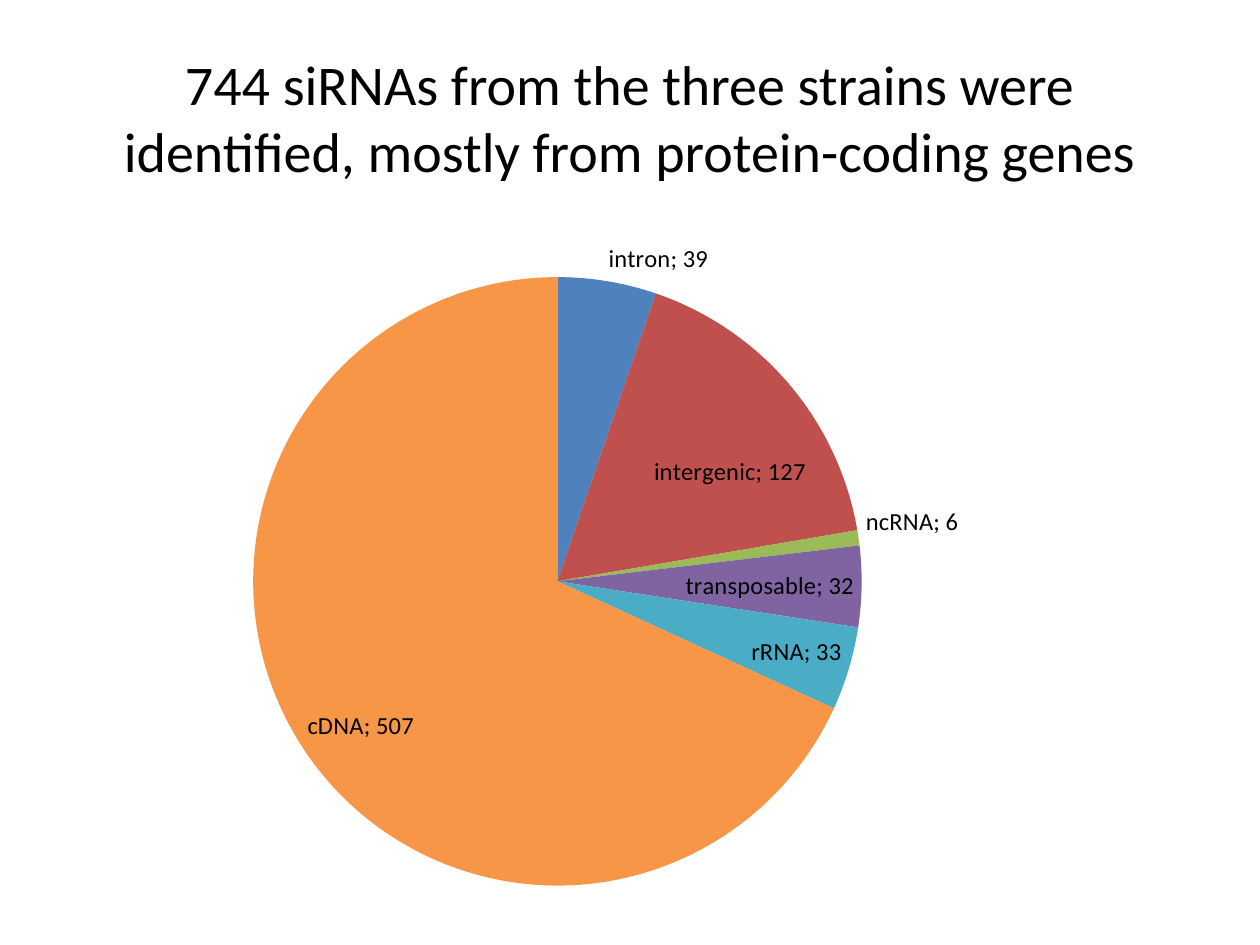
from lxml.etree import SubElement
from pptx import Presentation
from pptx.chart.data import CategoryChartData
from pptx.dml.color import RGBColor
from pptx.enum.chart import XL_CHART_TYPE, XL_LABEL_POSITION
from pptx.enum.text import MSO_ANCHOR, PP_ALIGN
from pptx.oxml import parse_xml
from pptx.oxml.ns import nsdecls, qn
from pptx.util import Inches, Pt

TITLE = "744 siRNAs from the three strains were identified, mostly from protein-coding genes"
FONT = "Calibri"
COLORS = {
    "text": "000000",
    "intron": "4F81BD",
    "intergenic": "C0504D",
    "ncRNA": "9BBB59",
    "transposable": "8064A2",
    "rRNA": "4BACC6",
    "cDNA": "F79646",
}
IN, OUT = XL_LABEL_POSITION.INSIDE_END, XL_LABEL_POSITION.OUTSIDE_END
SLICES = [
    ("intron", 39, OUT, None),
    ("intergenic", 127, IN, (0.02, 0.1)),
    ("ncRNA", 6, OUT, None),
    ("transposable", 32, IN, None),
    ("rRNA", 33, IN, None),
    ("cDNA", 507, IN, None),
]
FRAME = (0.51, 1.78, 8.98, 5.39)
PIE = (2.01, 2.2, 4.83, 4.83)


def style(font, size):
    font.name, font.size = FONT, Pt(size)
    font.color.rgb = RGBColor.from_string(COLORS["text"])


def layout(marks):
    body = "".join(f'<c:{tag} val="{val}"/>' for tag, val in marks)
    return parse_xml(
        f'<c:layout {nsdecls("c")}><c:manualLayout>{body}</c:manualLayout></c:layout>'
    )


def add_title(slide):
    title = slide.shapes.title
    title.left, title.top, title.width, title.height = map(Inches, (0.5, 0.3, 9, 1.25))
    frame = title.text_frame
    frame.word_wrap = True
    frame.vertical_anchor = MSO_ANCHOR.MIDDLE
    para = frame.paragraphs[0]
    para.alignment = PP_ALIGN.CENTER
    run = para.add_run()
    run.text = TITLE
    style(run.font, 32)


def place_pie(chart):
    left, top, wide, high = FRAME
    x, y, w, h = PIE
    spots = [(x - left) / wide, (y - top) / high, w / wide, h / high]
    marks = [("layoutTarget", "inner"), ("xMode", "edge"), ("yMode", "edge")]
    marks += [(tag, round(val, 4)) for tag, val in zip("xywh", spots)]
    area = chart._chartSpace.find(".//" + qn("c:plotArea"))
    old = area.find(qn("c:layout"))
    if old is not None:
        area.remove(old)
    area.insert(0, layout(marks))


def add_pie(slide):
    data = CategoryChartData()
    data.categories = [name for name, *_ in SLICES]
    data.add_series("Series 1", [count for _, count, *_ in SLICES])
    chart = slide.shapes.add_chart(XL_CHART_TYPE.PIE, *map(Inches, FRAME), data).chart
    chart.has_title = chart.has_legend = False
    style(chart.font, 10)
    plot = chart.plots[0]
    plot.vary_by_categories = True
    series = plot.series[0]
    labels = series.data_labels
    labels.show_value = labels.show_category_name = True
    style(labels.font, 14)
    for i, (name, _, spot, shift) in enumerate(SLICES):
        point = series.points[i]
        point.format.fill.solid()
        point.format.fill.fore_color.rgb = RGBColor.from_string(COLORS[name])
        label = point.data_label
        style(label.font, 14)
        label.position = spot
        node = series._element.findall(".//" + qn("c:dLbl"))[i]
        node.find(qn("c:showCatName")).set("val", "1")
        SubElement(node, qn("c:separator")).text = "; "
        if shift:
            node.insert(1, layout(zip("xy", shift)))
    place_pie(chart)


def main():
    """Build the slide with the pie of siRNA sources."""
    deck = Presentation()
    deck.slide_width, deck.slide_height = Inches(10), Inches(7.5)
    slide = deck.slides.add_slide(deck.slide_layouts[5])
    add_title(slide)
    add_pie(slide)
    deck.save("out.pptx")


if __name__ == "__main__":
    main()
